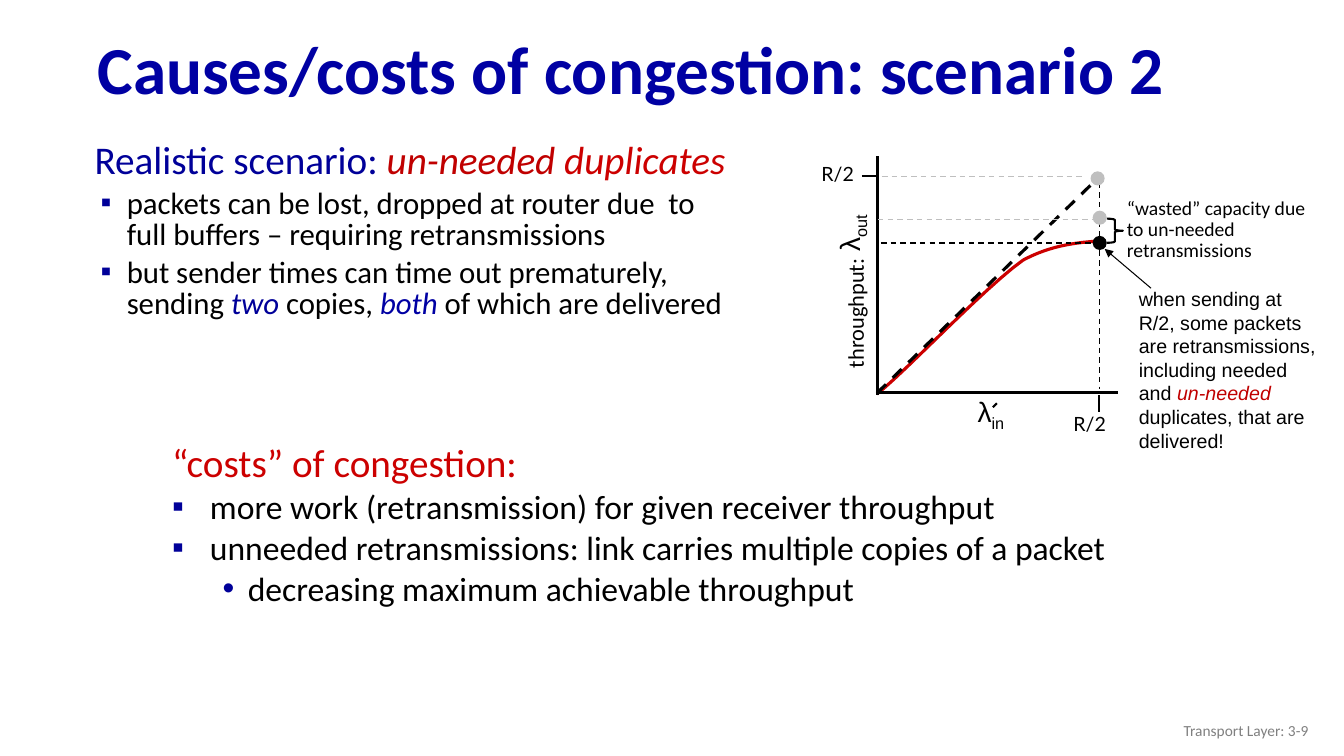
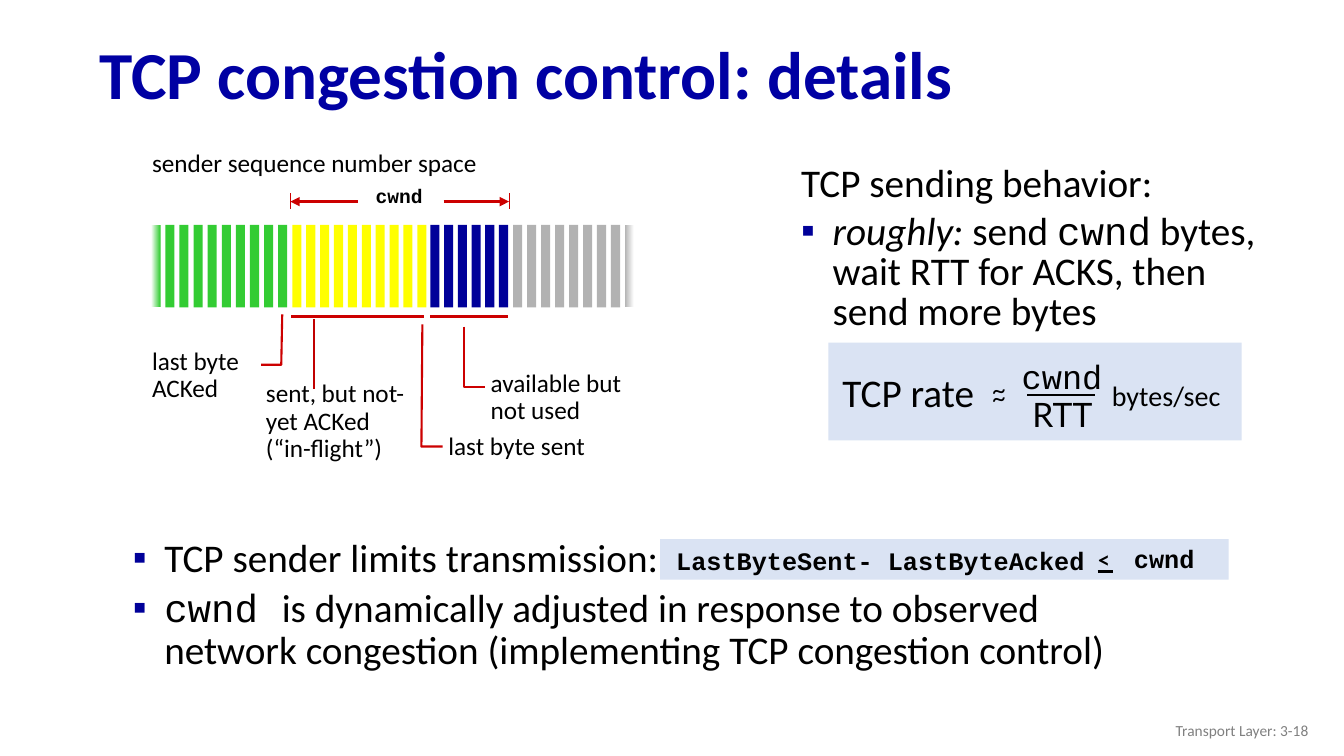
from dataclasses import dataclass

from lxml import etree
from pptx import Presentation
from pptx import util as u
from pptx.dml.color import RGBColor
from pptx.enum import dml, shapes, text
from pptx.oxml import ns


@dataclass(frozen=True)
class Theme:
    # colours
    title: str = "0000A3"
    navy: str = "000099"
    red: str = "CC0000"
    dark_red: str = "C00000"
    black: str = "000000"
    white: str = "FFFFFF"
    footer: str = "808080"
    faint: str = "BFBFBF"
    panel: str = "DAE3F3"
    green: str = "33CC33"
    yellow: str = "FFFF00"
    grey: str = "B2B2B2"
    # fonts
    body: str = "Calibri"
    sans: str = "Arial"
    mono: str = "Courier New"
    lato: str = "Lato"
    # type sizes
    title_size: int = 48
    heading: int = 28
    point: int = 24
    subpoint: int = 22
    symbol: int = 20
    label: int = 18
    axis: int = 16
    note: int = 14
    small: int = 11


T = Theme()
ALIGN = {"l": text.PP_ALIGN.LEFT, "c": text.PP_ALIGN.CENTER, "r": text.PP_ALIGN.RIGHT}


def rgb(colour):
    return RGBColor.from_string(colour)


def sub(parent, tag, **attributes):
    return etree.SubElement(parent, ns.qn(tag), attributes)


def points(box):
    return [u.Pt(value) for value in box]


def bezier(p0, p1, p2, p3, steps=12):
    """Points along a cubic curve, leaving out its start."""
    for step in range(1, steps + 1):
        t = step / steps
        weights = ((1 - t) ** 3, 3 * t * (1 - t) ** 2, 3 * t * t * (1 - t), t ** 3)
        yield tuple(sum(w * p[axis] for w, p in zip(weights, (p0, p1, p2, p3)))
                    for axis in (0, 1))


@dataclass
class Para:
    """Runs are a string, or a list of strings and (string, style) pairs."""
    runs: object
    size: int = T.label
    color: str = T.black
    font: str = T.body
    bold: bool = False
    leading: float = None
    align: str = "l"
    bullet: str = None
    margin: float = 0
    hang: float = 0
    level: int = 0
    before: float = 0


class Deck:
    def __init__(self):
        self.prs = Presentation()
        self.prs.slide_width, self.prs.slide_height = u.Pt(960), u.Pt(540)
        self.slide = None

    def new_slide(self, title, left, top, number):
        self.slide = self.prs.slides.add_slide(self.prs.slide_layouts[6])
        self.text((left, top, 890, 70.6),
                  Para(title, T.title_size, T.title, bold=True, leading=0.9), middle=True)
        self.text((725.8, 507.6, 216, 28.8),
                  Para(f"Transport Layer: {number}", T.small, T.footer, align="r"),
                  middle=True)

    @staticmethod
    def style(font, size=None, color=None, face=None, bold=None, italic=None):
        if size:
            font.size = u.Pt(size)
        if color:
            font.color.rgb = rgb(color)
        if face:
            font.name = face
        if bold is not None:
            font.bold = bold
        if italic is not None:
            font.italic = italic

    def text(self, box, *paras, wrap=True, middle=False, rotation=0):
        holder = self.slide.shapes.add_textbox(*points(box))
        holder.rotation = rotation
        frame = holder.text_frame
        frame.word_wrap = wrap
        if not wrap:
            frame.auto_size = text.MSO_AUTO_SIZE.SHAPE_TO_FIT_TEXT
        if middle:
            frame.vertical_anchor = text.MSO_ANCHOR.MIDDLE
        for index, para in enumerate(paras):
            self.fill_paragraph(frame.add_paragraph() if index else frame.paragraphs[0], para)

    def fill_paragraph(self, p, para):
        p.level = para.level
        p.alignment = ALIGN[para.align]
        p_pr = p._p.get_or_add_pPr()
        if para.margin:
            p_pr.set("marL", str(u.Pt(para.margin)))
            p_pr.set("indent", str(u.Pt(-para.hang)))
        if para.bullet:
            sub(sub(p_pr, "a:buClr"), "a:srgbClr", val=T.navy)
            sub(p_pr, "a:buFont", typeface=T.sans)
            sub(p_pr, "a:buChar", char=para.bullet)
        if para.leading:
            p.line_spacing = para.leading
        if para.before:
            p.space_before = u.Pt(para.before)
        self.style(p.font, para.size, para.color, para.font, para.bold)
        for item in [para.runs] if isinstance(para.runs, str) else para.runs:
            words, look = (item, {}) if isinstance(item, str) else item
            run = p.add_run()
            run.text = words
            self.style(run.font, **{k: v for k, v in look.items() if k != "baseline"})
            if "baseline" in look:
                run._r.get_or_add_rPr().set("baseline", look["baseline"])

    def stroke(self, line, color, width, dashed=False):
        line.color.rgb = rgb(color)
        line.width = u.Pt(width)
        if dashed:
            line.dash_style = dml.MSO_LINE.DASH

    def line(self, ends, color=T.black, width=1.5, dashed=False, arrow=False):
        link = self.slide.shapes.add_connector(shapes.MSO_CONNECTOR.STRAIGHT, *points(ends))
        self.stroke(link.line, color, width, dashed)
        if arrow:
            sub(link.line._get_or_add_ln(), "a:tailEnd", type="triangle")
        sub(link._element.spPr, "a:effectLst")

    def path_line(self, vertices, color=T.red, width=1.5):
        start, *rest = [tuple(points(v)) for v in vertices]
        builder = self.slide.shapes.build_freeform(*start)
        builder.add_line_segments(rest, close=False)
        outline = builder.convert_to_shape()
        outline.fill.background()
        outline.shadow.inherit = False
        self.stroke(outline.line, color, width)

    def shape(self, box, fill=None, kind=shapes.MSO_SHAPE.RECTANGLE, line=None, fade=None):
        """fade holds the left and right colours of a gradient."""
        item = self.slide.shapes.add_shape(kind, *points(box))
        item.shadow.inherit = False
        if fade:
            item.fill.gradient()
            item.fill.gradient_angle = 0
            for stop, color in zip(item.fill.gradient_stops, fade):
                stop.color.rgb = rgb(color)
        elif fill:
            item.fill.solid()
            item.fill.fore_color.rgb = rgb(fill)
        else:
            item.fill.background()
        if line:
            self.stroke(item.line, line, 1.5)
        else:
            item.line.fill.background()


def point(runs, size, leading=0.85, margin=22.5, hang=22.5, bullet="▪", color=T.black, level=0):
    return Para(runs, size, color, leading=leading, margin=margin, hang=hang,
                bullet=bullet, level=level, before=0.2 * size)


def scenario_slide(deck):
    deck.new_slide("Causes/costs of congestion: scenario 2", 62.6, 16.6, "3-9")

    # Costs and scenario lists
    deck.text((115.9, 314.6, 739.4, 170),
              point("“costs” of congestion:", T.heading, margin=27, hang=27, bullet=None,
                    color=T.red),
              point("more work (retransmission) for given receiver throughput",
                    T.point, margin=27, hang=27),
              point("unneeded retransmissions: link carries multiple copies of a packet",
                    T.point, margin=27, hang=27),
              point("decreasing maximum achievable throughput", T.point, margin=54,
                    hang=18, bullet="•", level=1))
    deck.text((60.5, 98.6, 468, 164),
              point(["Realistic scenario: ",
                     ("un-needed ", dict(color=T.dark_red, italic=True)),
                     ("duplicates", dict(color=T.red, italic=True))],
                    T.heading, margin=27, hang=27, bullet=None, color=T.navy),
              point("packets can be lost, dropped at router due  to full buffers – "
                    "requiring retransmissions", T.subpoint, margin=23, hang=18.7),
              point(["but sender times can time out prematurely, sending ",
                     ("two ", dict(color=T.navy, italic=True)), "copies, ",
                     ("both", dict(color=T.title, italic=True)),
                     " of which are delivered"], T.subpoint, margin=23, hang=18.7))

    # Remarks beside the graph
    deck.text((806.4, 201.6, 141.8, 126),
              Para(["when sending at R/2, some packets are retransmissions, "
                    "including needed and ",
                    ("un-needed", dict(color=T.dark_red, italic=True)),
                    " duplicates, that are delivered!"], T.note, font=T.sans))
    deck.line((822.2, 205.9, 789.1, 177.8), width=0.75, arrow=True)
    deck.text((797.8, 138.2, 143.3, 53.3),
              Para("“wasted” capacity due to un-needed retransmissions", T.note, leading=0.9))
    deck.shape((790.6, 156.2, 11.5, 17.3), kind=shapes.MSO_SHAPE.RIGHT_BRACE, line=T.black)

    # Throughput curve
    origin, bend, end = (626.4, 281.5), (730.8, 185.8), (786.2, 172.1)
    deck.path_line([origin, *bezier(origin, (646.6, 265.7), (702.7, 205.9), bend),
                    *bezier(bend, (744.5, 178.6), (759.6, 173.5), end)], width=2.25)

    # Axes, ticks and guides
    deck.line((627.1, 111.6, 627.1, 282.2), width=2)
    deck.line((785.5, 130.3, 785.5, 277.9), width=1, dashed=True)
    deck.line((626.4, 280.8, 785.5, 126), width=2.25, dashed=True)
    deck.line((615.6, 126, 627.1, 126))
    deck.line((784.8, 282.2, 784.8, 294.5))
    deck.line((627.8, 280.1, 798.5, 280.1), width=2)
    for left, right, y, color in ((630, 774.7, 126, T.faint), (627.1, 782.6, 157, T.faint),
                                  (629.3, 784.8, 173.5, T.black)):
        deck.line((left, y, right, y), color, 1, dashed=True)
    for left, top, color in ((779, 122.4, T.faint), (780.5, 150.5, T.faint),
                             (780.5, 168.5, T.black)):
        deck.shape((left, top, 10.1, 10.1), color, shapes.MSO_SHAPE.OVAL)

    # Axis labels
    for box, subscript, rotation in (((691.2, 278.6, 36, 31.7), "in", 0),
                                     ((581.8, 122.4, 73.4, 55.4), "out", 270)):
        deck.text(box, Para(["λ", (subscript, dict(baseline="-25000"))], T.symbol,
                            font=T.sans), wrap=False, rotation=rotation)
    deck.line((709.2, 290.9, 712.1, 288))
    for left, top in ((579.6, 112.3), (759.6, 290.9)):
        deck.text((left, top, 64.1, 40.3), Para("R/2", T.note, font=T.lato), wrap=False)
    deck.text((562.3, 208.1, 97.2, 26.6), Para("throughput:", T.axis),
              wrap=False, rotation=270)


def details_slide(deck):
    deck.new_slide("TCP congestion control: details", 64.1, 20.2, "3-18")
    mono = dict(face=T.mono)

    # Transmission limit
    deck.shape((471.6, 385.2, 406.1, 28.8), T.panel)
    deck.text((87.8, 380.9, 758.2, 133),
              point("TCP sender limits transmission:", T.heading, 0.9),
              point([("cwnd ", mono), "is dynamically adjusted in response to observed "
                     "network congestion (implementing TCP congestion control)"],
                    T.heading, 0.9))
    deck.text((475.9, 389.5, 346.3, 26.6),
              Para("LastByteSent- LastByteAcked", font=T.mono, bold=True, leading=0.85))
    deck.text((774.7, 386.6, 27.4, 26.6),
              Para("<", T.axis, font=T.lato, bold=True, align="c"), wrap=False)
    deck.line((784.1, 408.2, 794.9, 408.2))
    deck.text((802.8, 384.5, 57.6, 28.8),
              Para("cwnd", font=T.mono, bold=True, align="c"), wrap=False)

    # Sequence number space: first and last bars fade out
    bar_runs = ((T.green, 108, 198.7, 10), (T.yellow, 208.8, 298.1, 10),
                (T.navy, 307.4, 356.4, 6), (T.grey, 366.5, 446.4, 9))
    for color, first, last, count in bar_runs:
        for index in range(count):
            fade = None
            if color == T.green and index == 0:
                fade = (T.white, color)
            elif color == T.grey and index == count - 1:
                fade = (color, T.white)
            left = first + index * (last - first) / (count - 1)
            deck.shape((left, 160.6, 6.5, 59), color, fade=fade)

    # Window width
    deck.text((253.4, 129.6, 63.4, 27.4),
              Para("cwnd", T.note, font=T.mono, bold=True, leading=0.9, align="c"), wrap=False)
    for inner, outer in ((316.8, 363.6), (255.6, 207.4)):
        deck.line((inner, 144, outer, 144), T.red, 2.25, arrow=True)
        deck.line((outer, 137.9, outer, 149.4), T.red, 0.75)
    deck.text((101.5, 101.5, 253.4, 28.8), Para("sender sequence number space"), wrap=False)

    # Callouts under the bars
    for left, right in ((208.1, 303.1), (307.4, 362.9)):
        deck.line((left, 226.1, right, 226.1), T.red, 2.25)
    deck.line((224.6, 228.2, 224.6, 277.9), T.dark_red)
    for leader in (((201.6, 224.6), (200.9, 260.6), (186.5, 260.6)),
                   ((301.7, 231.8), (301, 319), (316.1, 319)),
                   ((331.2, 233.3), (331.2, 276.5), (346.3, 276.5))):
        deck.path_line(leader)
    for box, *rows in (((101.5, 245.5, 77.8, 46.8), "last byte", "ACKed"),
                       ((313.2, 306, 126, 26.6), "last byte sent"),
                       ((343.4, 261.4, 126, 46.8), "available but not used"),
                       ((182.9, 268.6, 131, 66.2), "sent, but not-yet ACKed",
                        "(“in-flight”)")):
        deck.text(box, *(Para(row, leading=0.9) for row in rows))

    # Sending behavior
    deck.text((565.2, 114.5, 361.4, 193),
              point("TCP sending behavior:", T.heading, bullet=None),
              point([("roughly:", dict(italic=True)), " send ", ("cwnd", mono),
                     " bytes, wait RTT for ACKS, then send more bytes"], T.heading))

    # Rate formula
    deck.shape((591.8, 244.8, 295.2, 69.8), T.panel)
    for top in (263.5, 269.3):
        deck.text((676.8, top, 73.4, 28.8), Para("~", font=T.lato, align="c"))
    for box, term, size, font in (((594, 259.2, 109.4, 41), "TCP rate", T.heading, T.body),
                                  ((722.2, 250.6, 72.7, 36.7), "cwnd", T.point, T.mono),
                                  ((730.1, 277.9, 57.6, 36.7), "RTT", T.point, T.lato),
                                  ((786.2, 267.1, 93.6, 31.7), "bytes/sec", T.symbol, T.body)):
        deck.text(box, Para(term, size, font=font, align="c"), wrap=False)
    deck.line((733.7, 282.2, 781.9, 282.2))


def main():
    deck = Deck()
    scenario_slide(deck)
    details_slide(deck)
    deck.prs.save("out.pptx")


if __name__ == "__main__":
    main()
